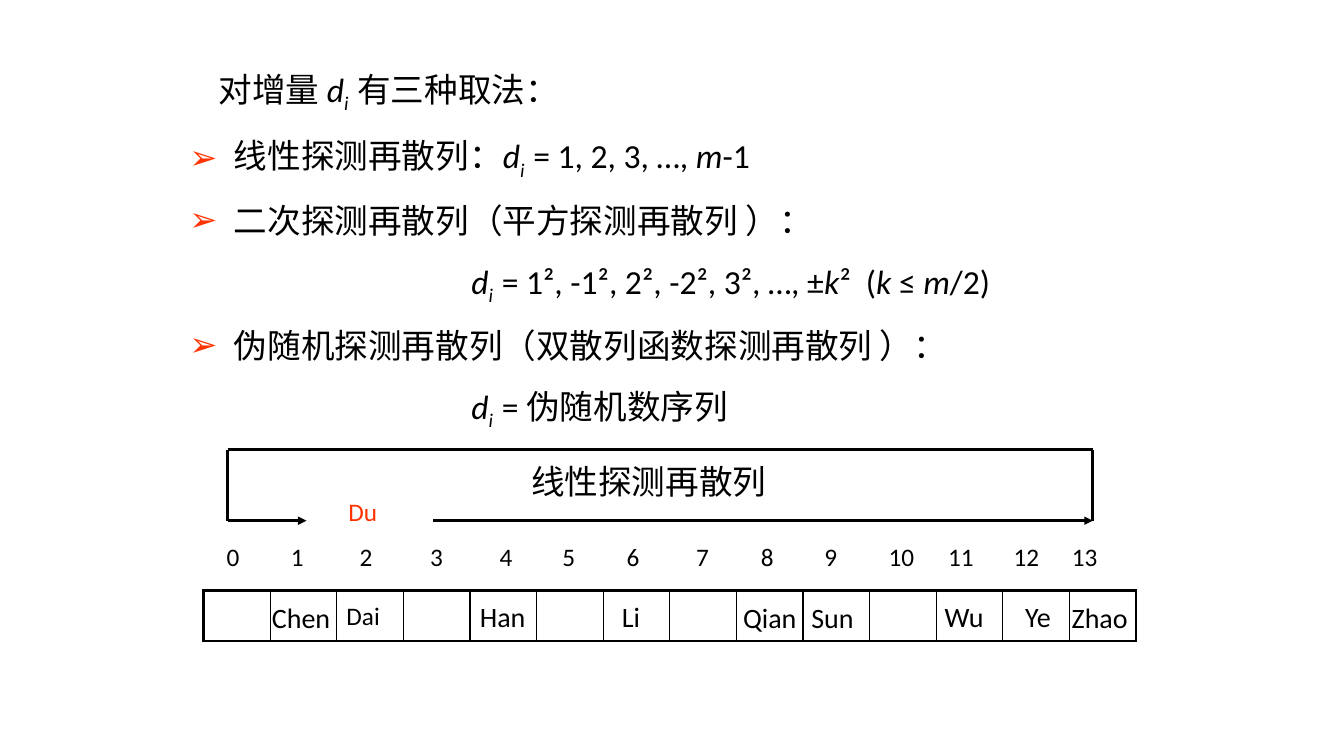
"""Build a slide on three ways to choose the probe step of a hash table."""
import dataclasses
import lxml.etree
import pptx
import pptx.dml.color
import pptx.enum.shapes
import pptx.enum.text
import pptx.oxml.ns
import pptx.util

Cm, Pt = pptx.util.Cm, pptx.util.Pt
qn = pptx.oxml.ns.qn
ALIGN = pptx.enum.text.PP_ALIGN
ANCHOR = pptx.enum.text.MSO_ANCHOR


@dataclasses.dataclass
class Theme:
    ink: str = "000000"
    red: str = "FF3300"
    font: str = "Calibri"
    han: str = "Noto Sans CJK SC"
    big: int = 24
    mid: int = 20
    low: int = 18


theme = Theme()


def write(frame, text, size=theme.big, color=theme.ink, align=ALIGN.LEFT, anchor=ANCHOR.TOP,
          new=False, gap=1.0, before=0, left=0, hang=0, bullet=""):
    """Write a string, or (text, style) runs: i italic, s subscript, h Han font."""
    frame.word_wrap = True
    frame.auto_size = pptx.enum.text.MSO_AUTO_SIZE.NONE
    frame.vertical_anchor = anchor
    para = frame.add_paragraph() if new else frame.paragraphs[0]
    props = para._p.get_or_add_pPr()
    props.set("marL", str(Cm(left)))
    props.set("indent", str(Cm(-hang)))
    if bullet:
        tint = lxml.etree.SubElement(props, qn("a:buClr"))
        lxml.etree.SubElement(tint, qn("a:srgbClr"), val=theme.red)
        lxml.etree.SubElement(props, qn("a:buChar"), char=bullet)
    else:
        lxml.etree.SubElement(props, qn("a:buNone"))
    para.alignment = align
    para.line_spacing = gap
    para.space_before = Pt(before)
    for part, style in [(text, "")] if isinstance(text, str) else text:
        run = para.add_run()
        run.text = part
        run.font.name = theme.han if style == "h" else theme.font
        run.font.size = Pt(size)
        run.font.italic = style in ("i", "s")
        run.font.color.rgb = pptx.dml.color.RGBColor.from_string(color)
        if style == "s":
            run._r.get_or_add_rPr().set("baseline", "-25000")


deck = pptx.Presentation()
deck.slide_width, deck.slide_height = Cm(33.86), Cm(19.05)
slide = deck.slides.add_slide(deck.slide_layouts[1])
shapes = slide.shapes
step = [("d", "i"), ("i  ", "s")]

title = shapes.title
title.left, title.top, title.width, title.height = Cm(5.25), Cm(1.38), Cm(23.4), Cm(1.5)
write(title.text_frame, [("对增量 ", ""), *step, ("有三种取法：", "")],
      gap=1.3, anchor=ANCHOR.MIDDLE)

body = slide.placeholders[1]
body.left, body.top, body.width, body.height = Cm(4.52), Cm(3.16), Cm(24.13), Cm(7.62)
items = [
    ("➢", [("线性探测再散列：", ""), *step, ("= 1, 2, 3, …, ", ""), ("m", "i"), ("-1", "")]),
    ("➢", [("二次探测再散列（", ""), ("平方探测再散列 ", "h"), ("）：", "")]),
    ("", [*step, ("= 1², -1², 2², -2², 3², …, ±", ""), ("k", "i"), ("²  (", ""),
          ("k ", "i"), ("≤ ", ""), ("m", "i"), ("/2)", "")]),
    ("➢", [("伪随机探测再散列（", ""), ("双散列函数探测再散列 ", "h"), ("）：", "")]),
    ("", [*step, ("= 伪随机数序列", "")]),
]
for i, (mark, runs) in enumerate(items):
    write(body.text_frame, runs, new=i > 0, gap=1.3, before=4.8 if i else 0,
          anchor=ANCHOR.MIDDLE, bullet=mark,
          left=1.12 if mark else 7.1, hang=1.12 if mark else 0)

west, east, top, low = 5.74, 27.53, 11.33, 13.12
paths = [
    (east, low, east, top, False),
    (west, top, east, top, False),
    (west, low, west, top, False),
    (west, low, 7.72, low, True),
    (10.92, low, east, low, True),
]
for x1, y1, x2, y2, arrow in paths:
    line = shapes.add_connector(pptx.enum.shapes.MSO_CONNECTOR.STRAIGHT,
                                Cm(x1), Cm(y1), Cm(x2), Cm(y2))
    line.line.color.rgb = pptx.dml.color.RGBColor.from_string(theme.ink)
    line.line.width = Pt(2)
    if arrow:
        lxml.etree.SubElement(line.line._get_or_add_ln(), qn("a:tailEnd"), type="triangle")
    lxml.etree.SubElement(line._element.spPr, qn("a:effectLst"))

count = 14
table = shapes.add_table(1, count, Cm(5.13), Cm(14.88), Cm(23.5), Cm(1.27)).table
table.first_row = table.horz_banding = False
for i in range(count):
    table.columns[i].width = Cm(23.5 / count)
    cell = table.cell(0, i)
    props = cell._tc.get_or_add_tcPr()
    for side in "LRTB":
        edge = side in "TB" or (side, i) in (("L", 0), ("R", count - 1))
        rim = lxml.etree.SubElement(props, qn("a:ln" + side), w=str(Pt(2.25 if edge else 1)))
        fill = lxml.etree.SubElement(rim, qn("a:solidFill"))
        lxml.etree.SubElement(fill, qn("a:srgbClr"), val=theme.ink)
    cell.fill.background()

small = dict(size=theme.low)
name = dict(size=theme.mid)
mids = [5.87, 7.49, 9.22, 11, 12.75, 14.33, 15.95, 17.7, 19.33, 20.93, 22.71, 24.21, 25.86, 27.33]
labels = [
    (13.13, 11.5, 8, "线性探测再散列", dict()),
    (8.53, 12.37, 1.8, "Du", dict(size=theme.low, color=theme.red)),
    (8.48, 15.27, 1.8, "Dai", dict(size=theme.low, gap=0.6)),
    (6.6, 15.01, 2.3, "Chen", name),
    (11.84, 14.98, 2.3, "Han", name),
    (15.42, 14.98, 2.3, "Li", name),
    (18.47, 15.01, 2.3, "Qian", name),
    (20.19, 15.01, 2.3, "Sun", name),
    (23.55, 14.98, 2.3, "Wu", name),
    (25.58, 14.98, 2.3, "Ye", name),
    (26.75, 15.01, 2.3, "Zhao", name),
    *((mid - 0.8, 13.51, 1.6, str(i), dict(small, align=ALIGN.CENTER))
      for i, mid in enumerate(mids)),
]
for x, y, wide, text, form in labels:
    box = shapes.add_textbox(Cm(x), Cm(y), Cm(wide), Cm(1.02))
    write(box.text_frame, text, **form)

deck.save("out.pptx")
